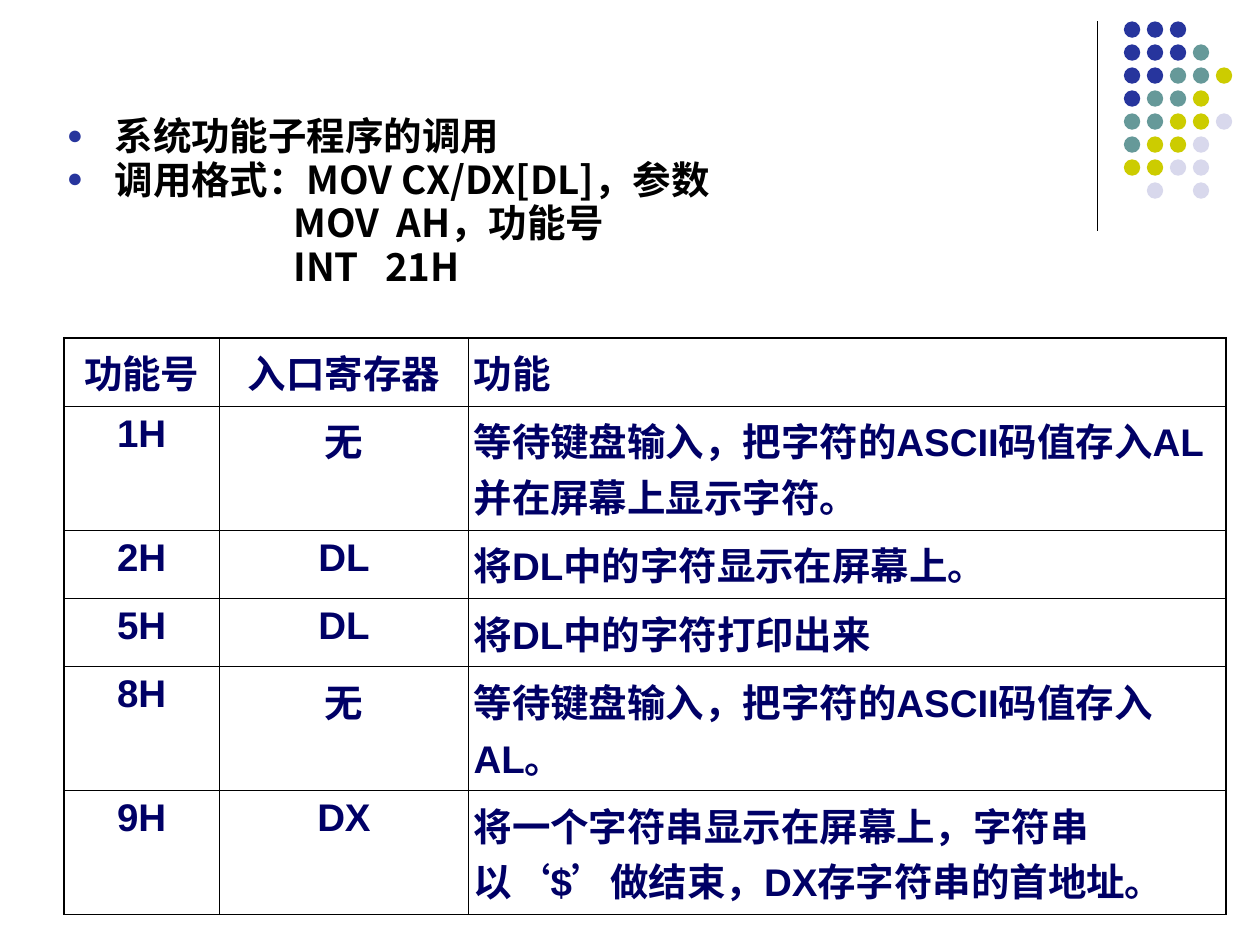
from lxml.etree import SubElement
from pptx import Presentation
from pptx.dml.color import RGBColor as RGB
from pptx.enum.shapes import MSO_CONNECTOR as CONNECTOR, MSO_SHAPE as SHAPE
from pptx.enum.text import MSO_ANCHOR as ANCHOR, MSO_AUTO_SIZE as AUTO_SIZE, PP_ALIGN as ALIGN
from pptx.oxml.ns import qn
from pptx.util import Inches, Pt

THEME = {
    "blue": "27359D", "teal": "669999", "lime": "CCCC00", "pale": "D8D8EC",
    "ink": "000000", "navy": "000066",
    "latin": "Arial", "cjk": "Noto Sans CJK SC",
    "size": Pt(22), "outer": Pt(1.08), "inner": Pt(0.45),
}


def style_runs(p, latin, color):
    """Format every run of a paragraph, East Asian font included."""
    for r in p.runs:
        r.font.size, r.font.bold, r.font.name = THEME["size"], True, latin
        r.font.color.rgb = RGB.from_string(THEME[color])
        SubElement(r.font._element, qn("a:ea"), typeface=THEME["cjk"])


def set_border(cell, side, width):
    """Draw one side (L, R, T or B) of a table cell."""
    ln = SubElement(cell._tc.get_or_add_tcPr(), qn(f"a:ln{side}"), w=str(width))
    fill = SubElement(ln, qn("a:solidFill"))
    SubElement(fill, qn("a:srgbClr"), val=THEME["ink"])


prs = Presentation()
prs.slide_width, prs.slide_height = Inches(10), Inches(7.5)
s = prs.slides.add_slide(prs.slide_layouts[1])
title = s.shapes.title._element
title.getparent().remove(title)

# Corner ornament: a rule and a grid of dots
rule = s.shapes.add_connector(CONNECTOR.STRAIGHT, Inches(8.71), Inches(0.17),
                              Inches(8.71), Inches(1.83))
rule.line.color.rgb = RGB.from_string(THEME["ink"])
rule.line.width = Pt(0.75)
SubElement(rule._element.spPr, qn("a:effectLst"))

DOT_ROWS = ["BBB", "BBBT", "BBTTL", "BTTL", "TTLLP", "TLLP", "LLPP", " P P"]
DOT_COLORS = {"B": "blue", "T": "teal", "L": "lime", "P": "pale"}
DOT_LEFT, DOT_TOP, DOT_SIZE = Inches(8.92), Inches(0.17), Inches(0.13)
DOT_PITCH = (Inches(9.65) - DOT_LEFT) // 4
dots = s.shapes.add_group_shape()
for row, codes in enumerate(DOT_ROWS):
    for col, code in enumerate(codes):
        if code == " ":
            continue
        dot = dots.shapes.add_shape(SHAPE.OVAL, DOT_LEFT + col * DOT_PITCH,
                                    DOT_TOP + row * DOT_PITCH, DOT_SIZE, DOT_SIZE)
        dot.shadow.inherit = False
        dot.fill.solid()
        dot.fill.fore_color.rgb = RGB.from_string(THEME[DOT_COLORS[code]])
        dot.line.fill.background()

# Calling convention: two bullets, then code lines set further in
body = s.placeholders[1]
body.left, body.top, body.width, body.height = (
    Inches(0.43), Inches(0.91), Inches(8.52), Inches(1.81))
tf = body.text_frame
tf.auto_size, tf.vertical_anchor = AUTO_SIZE.NONE, ANCHOR.TOP
LINES = [
    ("系统功能子程序的调用", True),
    ("调用格式：MOV CX/DX[DL]，参数", True),
    ("MOV  AH，功能号", False),
    ("INT   21H", False),
]
for i, (text, bulleted) in enumerate(LINES):
    p = tf.paragraphs[0] if i == 0 else tf.add_paragraph()
    p.text = text
    p.line_spacing = 0.8
    p.space_before = Pt(3.8 if i else 0)
    pPr = p._p.get_or_add_pPr()
    pPr.set("marL", str(Inches(0.38 if bulleted else 1.8)))
    pPr.set("indent", str(Inches(-0.38 if bulleted else 0)))
    if bulleted:
        SubElement(SubElement(pPr, qn("a:buClr")), qn("a:srgbClr"), val=THEME["blue"])
        SubElement(pPr, qn("a:buSzPct"), val="70000")
        SubElement(pPr, qn("a:buFont"), typeface=THEME["latin"])
        SubElement(pPr, qn("a:buChar"), char="●")
    else:
        SubElement(pPr, qn("a:buNone"))
    style_runs(p, THEME["cjk"], "ink")

# Function table
ROWS = [
    ("功能号", "入口寄存器", "功能"),
    ("1H", "无", "等待键盘输入，把字符的ASCII码值存入AL并在屏幕上显示字符。"),
    ("2H", "DL", "将DL中的字符显示在屏幕上。"),
    ("5H", "DL", "将DL中的字符打印出来"),
    ("8H", "无", "等待键盘输入，把字符的ASCII码值存入AL。"),
    ("9H", "DX", "将一个字符串显示在屏幕上，字符串以‘$’做结束，DX存字符串的首地址。"),
]
COL_WIDTHS = [1.23, 1.98, 6.01]
ONE_LINE, TWO_LINES = 0.54, 0.98
ROW_HEIGHTS = [ONE_LINE, TWO_LINES, ONE_LINE, ONE_LINE, TWO_LINES, TWO_LINES]
table = s.shapes.add_table(len(ROWS), len(COL_WIDTHS), Inches(0.51), Inches(2.68),
                           Inches(sum(COL_WIDTHS)), Inches(sum(ROW_HEIGHTS))).table
table.first_row = table.horz_banding = False
for column, width in zip(table.columns, COL_WIDTHS):
    column.width = Inches(width)
for table_row, height in zip(table.rows, ROW_HEIGHTS):
    table_row.height = Inches(height)

last_row, last_col = len(ROWS) - 1, len(COL_WIDTHS) - 1
for row, texts in enumerate(ROWS):
    for col, text in enumerate(texts):
        cell = table.cell(row, col)
        cell.margin_left = cell.margin_right = Inches(0.04)
        cell.margin_top = cell.margin_bottom = Inches(0.05)
        on_edge = {"L": col == 0, "R": col == last_col, "T": row == 0, "B": row == last_row}
        for side, is_outer in on_edge.items():
            set_border(cell, side, THEME["outer" if is_outer else "inner"])
        cell.fill.background()
        cell.text_frame.text = text
        p = cell.text_frame.paragraphs[0]
        p.alignment = ALIGN.LEFT if col == last_col else ALIGN.CENTER
        style_runs(p, THEME["latin"], "navy")

prs.save("out.pptx")
